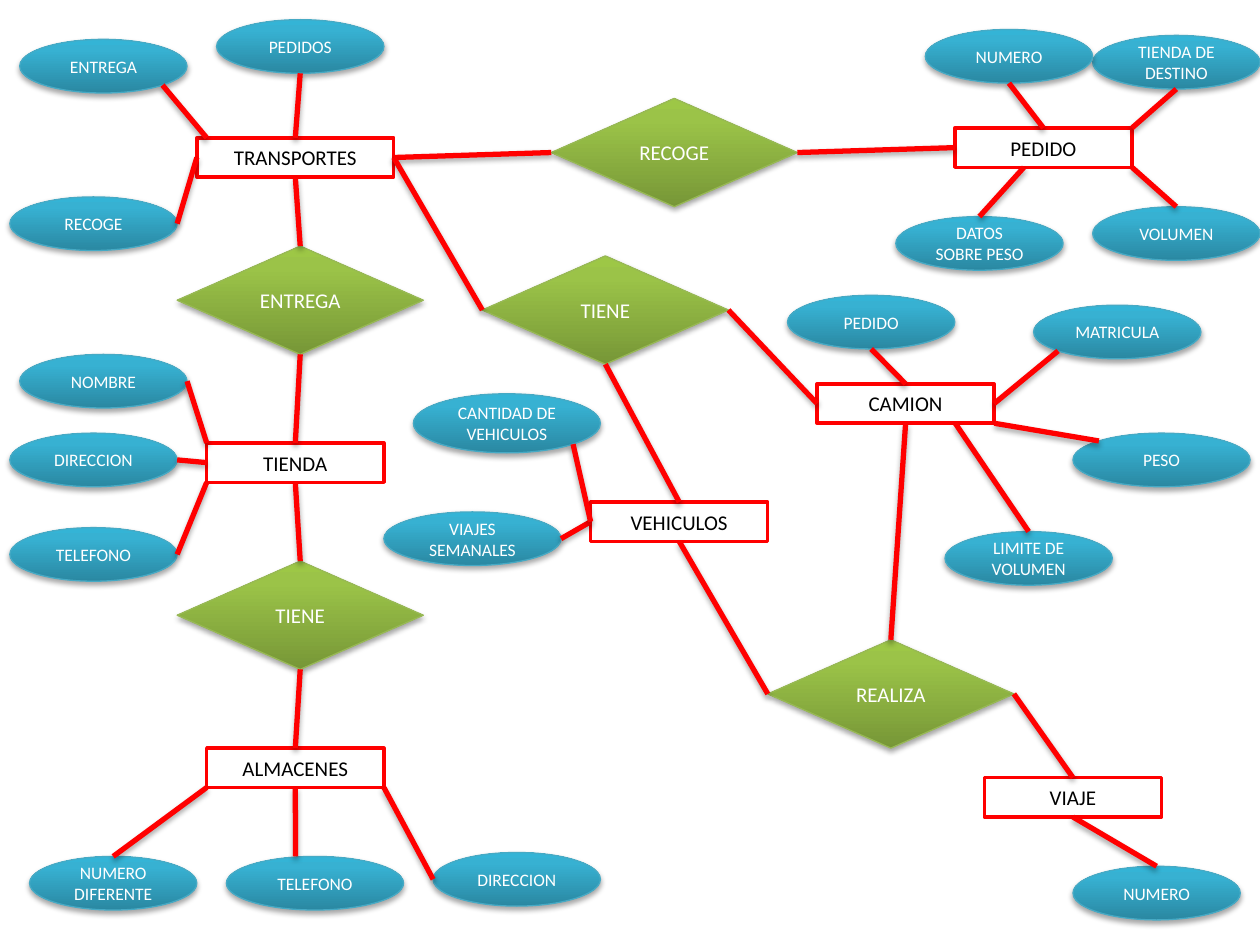
from copy import deepcopy
from lxml.etree import SubElement
from pptx import Presentation
from pptx.dml.color import RGBColor
from pptx.enum.shapes import MSO_CONNECTOR, MSO_SHAPE
from pptx.enum.text import MSO_ANCHOR, PP_ALIGN
from pptx.oxml.ns import qn
from pptx.util import Pt

STEP = 720 / 128  # points per grid unit: the slide is 128 units wide

COLORS = {
    "red": "FF0000", "black": "000000", "white": "FFFFFF",
    "green": "98B955", "blue": "46AAC5",
}
GREENS = [(0, "779737"), (0.8, "9BC348"), (1, "9DC746")]
BLUES = [(0, "2A88A2"), (0.8, "37B1D2"), (1, "34B4D6")]

# Spots on a shape, as fractions of its width and height
SPOTS = {
    "top": (0.5, 0), "left": (0, 0.5), "bottom": (0.5, 1), "right": (1, 0.5),
    "nw": (0, 0), "ne": (1, 0), "sw": (0, 1), "se": (1, 1),
}
SITES = {"top": 0, "left": 1, "bottom": 2, "right": 3}
BEND = 0.5 ** 1.5  # diagonal reach of an ellipse from its centre

# Entities: name, left, top, width in grid units
ENTITIES = [
    ("TRANSPORTES", 20, 14, 20), ("ALMACENES", 21, 76, 18),
    ("TIENDA", 21, 45, 18), ("PEDIDO", 97, 13, 18),
    ("CAMION", 83, 39, 18), ("VEHICULOS", 60, 51, 18),
    ("VIAJE", 100, 79, 18),
]

# Relations: name, left, top, links as (own spot, entity, entity spot)
RELATIONS = [
    ("RECOGE", 56, 10, [("left", "TRANSPORTES", "right"),
                        ("right", "PEDIDO", "left")]),
    ("TIENE", 18, 57, [("top", "TIENDA", "bottom"),
                       ("bottom", "ALMACENES", "top")]),
    ("TIENE", 49, 26, [("left", "TRANSPORTES", "right"),
                       ("bottom", "VEHICULOS", "top"),
                       ("right", "CAMION", "left")]),
    ("ENTREGA", 18, 25, [("top", "TRANSPORTES", "bottom"),
                         ("bottom", "TIENDA", "top")]),
    ("REALIZA", 78, 65, [("left", "VEHICULOS", "bottom"),
                         ("top", "CAMION", "bottom"),
                         ("right", "VIAJE", "top")]),
]

# Attributes: name, left, top, width, height, own spot, entity, entity spot
WIDE, HIGH = 17, 5.45
TRAITS = [
    ("NOMBRE", 2, 36, WIDE, HIGH, "right", "TIENDA", "nw"),
    ("TELEFONO", 1, 53.6, WIDE, HIGH, "right", "TIENDA", "sw"),
    ("PEDIDO", 80, 30, WIDE, HIGH, "bottom", "CAMION", "top"),
    ("ENTREGA", 2, 4, WIDE, HIGH, "se", "TRANSPORTES", (0.05, 0)),
    ("PEDIDOS", 22, 2, WIDE, HIGH, "bottom", "TRANSPORTES", "top"),
    ("MATRICULA", 105, 31, WIDE, HIGH, "sw", "CAMION", "right"),
    ("TIENDA DE DESTINO", 111, 3.6, WIDE, HIGH, "bottom", "PEDIDO", "ne"),
    ("RECOGE", 1, 20, WIDE, HIGH, "right", "TRANSPORTES", "left"),
    ("VIAJES SEMANALES", 39, 52, 18, HIGH, "right", "VEHICULOS", "left"),
    ("DATOS SOBRE PESO", 91, 22, WIDE, HIGH, "top", "PEDIDO", (0.39, 1)),
    ("VOLUMEN", 111, 21, WIDE, HIGH, "top", "PEDIDO", "se"),
    ("NUMERO", 94, 3, WIDE, HIGH, "bottom", "PEDIDO", "top"),
    ("TELEFONO", 23, 87, 18, HIGH, (0.39, 0), "ALMACENES", "bottom"),
    ("DIRECCION", 44, 86.6, WIDE, HIGH, "left", "ALMACENES", "se"),
    ("NUMERO DIFERENTE", 3, 87, WIDE, HIGH, "top", "ALMACENES", "sw"),
    ("NUMERO", 109, 88, WIDE, HIGH, "top", "VIAJE", "bottom"),
    ("DIRECCION", 1, 44, WIDE, HIGH, "right", "TIENDA", "left"),
    ("CANTIDAD DE VEHICULOS", 42, 40, 19, 6, "se", "VEHICULOS", "left"),
    ("LIMITE DE VOLUMEN", 96, 54, WIDE, HIGH, "top", "CAMION", (0.78, 1)),
    ("PESO", 109, 44, 18, HIGH, "nw", "CAMION", "se"),
]


def rgb(name):
    return RGBColor.from_string(COLORS[name])


def write(shape, text, size=12, color="white", font="Calibri"):
    frame = shape.text_frame
    frame.word_wrap = True
    frame.vertical_anchor = MSO_ANCHOR.MIDDLE
    para = frame.paragraphs[0]
    para.alignment = PP_ALIGN.CENTER
    run = para.add_run()
    run.text = text
    run.font.size = Pt(size)
    run.font.name = font
    run.font.color.rgb = rgb(color)


def shade(item):
    """Add a soft shadow straight below a shape or connector."""
    effects = SubElement(item._element.spPr, qn("a:effectLst"))
    outer = SubElement(effects, qn("a:outerShdw"), blurRad=str(Pt(3.15)),
                       dist=str(Pt(1.8)), dir="5400000", rotWithShape="0")
    tint = SubElement(outer, qn("a:srgbClr"), val=COLORS["black"])
    SubElement(tint, qn("a:alpha"), val="35000")


def blend(shape, stops):
    """Fill with a three-stop gradient that runs upwards."""
    shape.fill.gradient()
    shape.fill.gradient_angle = 90
    group = shape._element.spPr.find(".//" + qn("a:gsLst"))
    group.append(deepcopy(group[-1]))
    for stop, (place, color) in zip(shape.fill.gradient_stops, stops):
        stop.position = place
        stop.color.rgb = RGBColor.from_string(color)


def draw(slide, kind, box, line, width):
    shape = slide.shapes.add_shape(kind, *(Pt(n * STEP) for n in box))
    shape.line.color.rgb = rgb(line)
    shape.line.width = Pt(width)
    return shape


def entity(slide, name, *box):
    shape = draw(slide, MSO_SHAPE.RECTANGLE, (*box, 4), "red", 2)
    shape.fill.background()
    shape.shadow.inherit = False
    write(shape, name, color="black")
    return shape


def glossy(slide, kind, name, box, line, stops, size):
    shape = draw(slide, kind, box, line, 0.75)
    blend(shape, stops)
    shade(shape)
    write(shape, name, size=size)
    return shape


def point(shape, spot):
    across, down = SPOTS.get(spot, spot)
    oval = shape.auto_shape_type == MSO_SHAPE.OVAL
    if oval and spot in ("nw", "ne", "sw", "se"):
        across, down = (0.5 + (2 * n - 1) * BEND for n in (across, down))
    return (int(shape.left + across * shape.width),
            int(shape.top + down * shape.height))


def link(slide, start, leave, end, reach):
    line = slide.shapes.add_connector(
        MSO_CONNECTOR.STRAIGHT, *point(start, leave), *point(end, reach))
    line.line.color.rgb = rgb("red")
    line.line.width = Pt(3)
    shade(line)
    # Ellipses number their sites differently, so they stay unjoined
    if start.auto_shape_type != MSO_SHAPE.OVAL and leave in SITES:
        line.begin_connect(start, SITES[leave])
    if reach in SITES:
        line.end_connect(end, SITES[reach])


def main():
    deck = Presentation()
    deck.slide_width, deck.slide_height = Pt(720), Pt(540)
    slide = deck.slides.add_slide(deck.slide_layouts[6])

    # Entities, relations and attributes
    nodes = {row[0]: entity(slide, *row) for row in ENTITIES}
    joins = []
    for name, left, top, links in RELATIONS:
        shape = glossy(slide, MSO_SHAPE.DIAMOND, name, (left, top, 25, 11),
                       "green", GREENS, 12)
        joins += [(shape, *row) for row in links]
    for name, *box, leave, owner, reach in TRAITS:
        shape = glossy(slide, MSO_SHAPE.OVAL, name, box, "blue", BLUES, 10)
        joins.append((shape, leave, owner, reach))

    # Connecting lines
    for shape, leave, owner, reach in joins:
        link(slide, shape, leave, nodes[owner], reach)

    deck.save("out.pptx")


if __name__ == "__main__":
    main()
